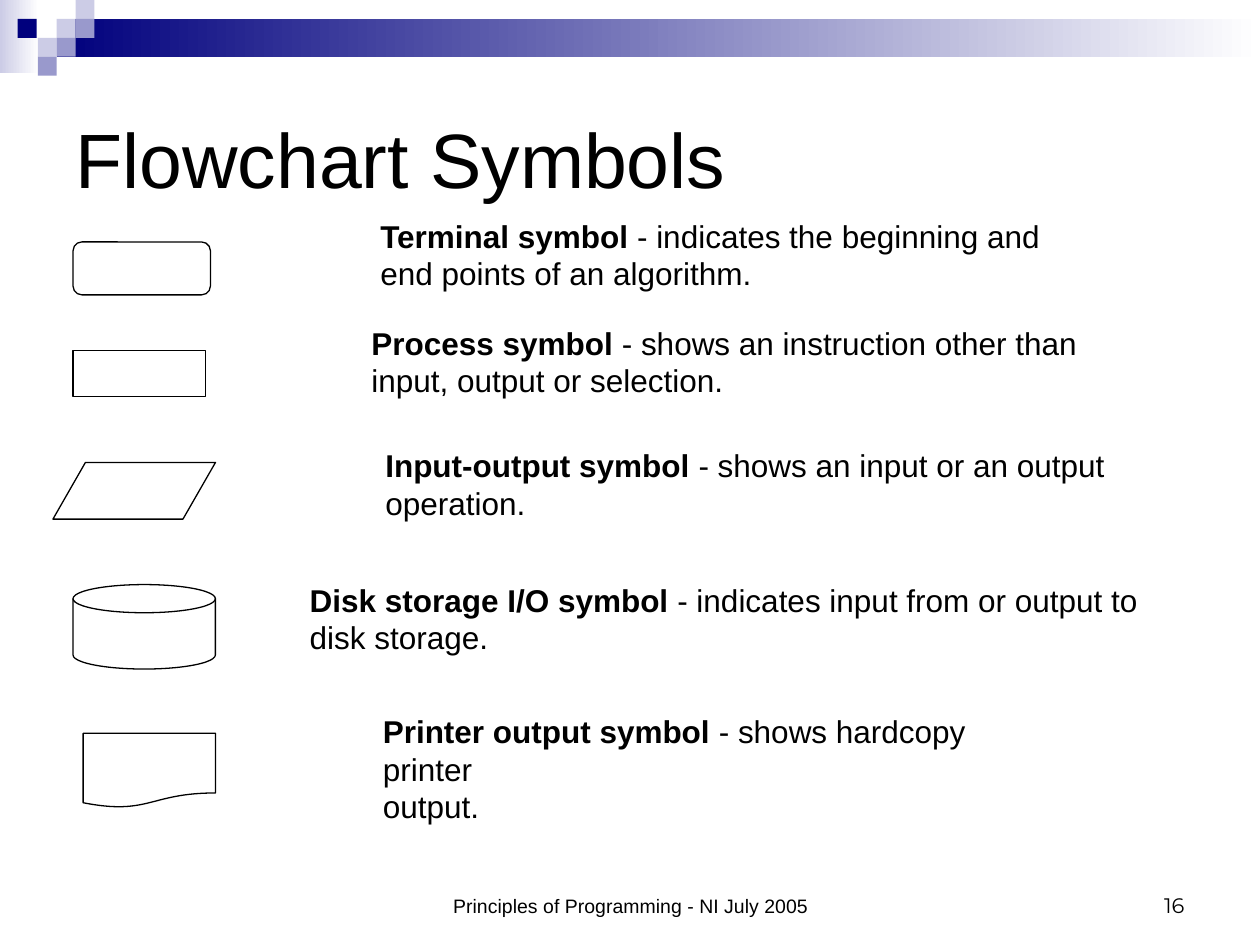
from dataclasses import dataclass

from pptx import Presentation
from pptx.dml.color import RGBColor
from pptx.enum.shapes import MSO_SHAPE as Preset
from pptx.enum.text import MSO_ANCHOR as Anchor, MSO_AUTO_SIZE as AutoSize, PP_ALIGN as Align
from pptx.shapes.autoshape import Shape
from pptx.slide import Slide
from pptx.util import Inches, Pt

COLORS = {
    "navy": "00007D",
    "lavender": "CCCCE6",
    "violet": "9999CC",
    "white": "FFFFFF",
    "black": "000000",
}
SQUARE = 0.15


@dataclass(frozen=True)
class Box:
    left: float
    top: float
    width: float
    height: float

    def lengths(self) -> list[Inches]:
        return [Inches(value) for value in (self.left, self.top, self.width, self.height)]


@dataclass(frozen=True)
class Run:
    text: str
    bold: bool = False


@dataclass(frozen=True)
class Symbol:
    preset: Preset
    outline: Box
    caption: Box
    name: str
    lines: tuple[str, ...]
    wrap: bool = False


BANDS = [
    (Box(0, 0, 0.31, 0.58), "lavender"),
    (Box(0.45, 0.15, 9.55, 0.3), "navy"),
]
SQUARES = [
    (0.45, 0.15, "lavender"),
    (0.6, 0, "lavender"),
    (0.6, 0.15, "violet"),
    (0.3, 0.3, "lavender"),
    (0.14, 0.15, "navy"),
    (0.45, 0.3, "violet"),
    (0.3, 0.45, "violet"),
]
SYMBOLS = [
    Symbol(Preset.FLOWCHART_ALTERNATE_PROCESS, Box(0.58, 1.92, 1.09, 0.42),
           Box(2.92, 1.67, 5.52, 0.7), "Terminal symbol",
           (" - indicates the beginning and", "end points of an algorithm.")),
    Symbol(Preset.FLOWCHART_PROCESS, Box(0.58, 2.78, 1.05, 0.37),
           Box(2.85, 2.52, 5.8, 0.7), "Process symbol",
           (" - shows an instruction other than", "input, output or selection.")),
    Symbol(Preset.FLOWCHART_DATA, Box(0.42, 3.67, 1.29, 0.45),
           Box(2.96, 3.49, 5.98, 0.7), "Input-output symbol",
           (" - shows an input or an output", "operation.")),
    Symbol(Preset.FLOWCHART_MAGNETIC_DISK, Box(0.58, 4.64, 1.13, 0.67),
           Box(2.36, 4.56, 6.83, 0.7), "Disk storage I/O symbol",
           (" - indicates input from or output to disk storage.",), True),
    Symbol(Preset.FLOWCHART_DOCUMENT, Box(0.66, 5.82, 1.05, 0.59),
           Box(2.94, 5.6, 5.6, 0.7), "Printer output symbol",
           (" - shows hardcopy printer", "output.")),
]


def color(name: str) -> RGBColor:
    """Return the named palette colour."""
    return RGBColor.from_string(COLORS[name])


def add_preset(slide: Slide, preset: Preset, box: Box) -> Shape:
    """Add a preset shape without a shadow."""
    shape = slide.shapes.add_shape(preset, *box.lengths())
    shape.shadow.inherit = False
    return shape


def add_band(slide: Slide, box: Box, start: str) -> None:
    """Add a band that fades to white from left to right."""
    shape = add_preset(slide, Preset.RECTANGLE, box)
    shape.line.fill.background()
    shape.fill.gradient()
    shape.fill.gradient_angle = 0
    for stop, name in zip(shape.fill.gradient_stops, (start, "white")):
        stop.color.rgb = color(name)


def add_square(slide: Slide, left: float, top: float, fill: str) -> None:
    """Add one small square of the header pattern."""
    shape = add_preset(slide, Preset.RECTANGLE, Box(left, top, SQUARE, SQUARE))
    shape.line.fill.background()
    shape.fill.solid()
    shape.fill.fore_color.rgb = color(fill)


def add_text(slide: Slide, box: Box, lines: list[list[Run]], size: float,
             font: str = "Arial", align: Align = Align.LEFT,
             anchor: Anchor = Anchor.TOP, wrap: bool = True) -> Shape:
    """Add a text box with one paragraph per line."""
    shape = slide.shapes.add_textbox(*box.lengths())
    frame = shape.text_frame
    frame.word_wrap = wrap
    frame.vertical_anchor = anchor
    for index, line in enumerate(lines):
        paragraph = frame.add_paragraph() if index else frame.paragraphs[0]
        paragraph.alignment = align
        for part in line:
            run = paragraph.add_run()
            run.text = part.text
            run.font.name = font
            run.font.size = Pt(size)
            run.font.bold = part.bold
            run.font.color.rgb = color("black")
    return shape


def add_symbol(slide: Slide, symbol: Symbol) -> None:
    """Add a flowchart symbol and its explanation."""
    shape = add_preset(slide, symbol.preset, symbol.outline)
    shape.fill.background()
    shape.line.color.rgb = color("black")
    shape.line.width = Pt(0.75)
    first, *rest = symbol.lines
    lines = [[Run(symbol.name, True), Run(first)], *([Run(line)] for line in rest)]
    caption = add_text(slide, symbol.caption, lines, 18, wrap=symbol.wrap)
    caption.text_frame.auto_size = AutoSize.SHAPE_TO_FIT_TEXT


def main() -> None:
    """Build the flowchart symbols slide."""
    presentation = Presentation()
    presentation.slide_width = Inches(10)
    presentation.slide_height = Inches(7.5)
    slide = presentation.slides.add_slide(presentation.slide_layouts[6])
    for box, start in BANDS:
        add_band(slide, box, start)
    for left, top, fill in SQUARES:
        add_square(slide, left, top, fill)
    add_text(slide, Box(3.42, 6.83, 3.17, 0.5),
             [[Run("Principles of Programming - NI July 2005")]], 11.1,
             align=Align.CENTER, anchor=Anchor.BOTTOM)
    add_text(slide, Box(7.17, 6.83, 2.33, 0.5), [[Run("16")]], 12,
             font="Montserrat", align=Align.RIGHT, anchor=Anchor.BOTTOM)
    add_text(slide, Box(0.5, 0.5, 9, 1.5), [[Run("Flowchart Symbols")]], 44,
             anchor=Anchor.MIDDLE)
    for symbol in SYMBOLS:
        add_symbol(slide, symbol)
    presentation.save("out.pptx")


if __name__ == "__main__":
    main()
